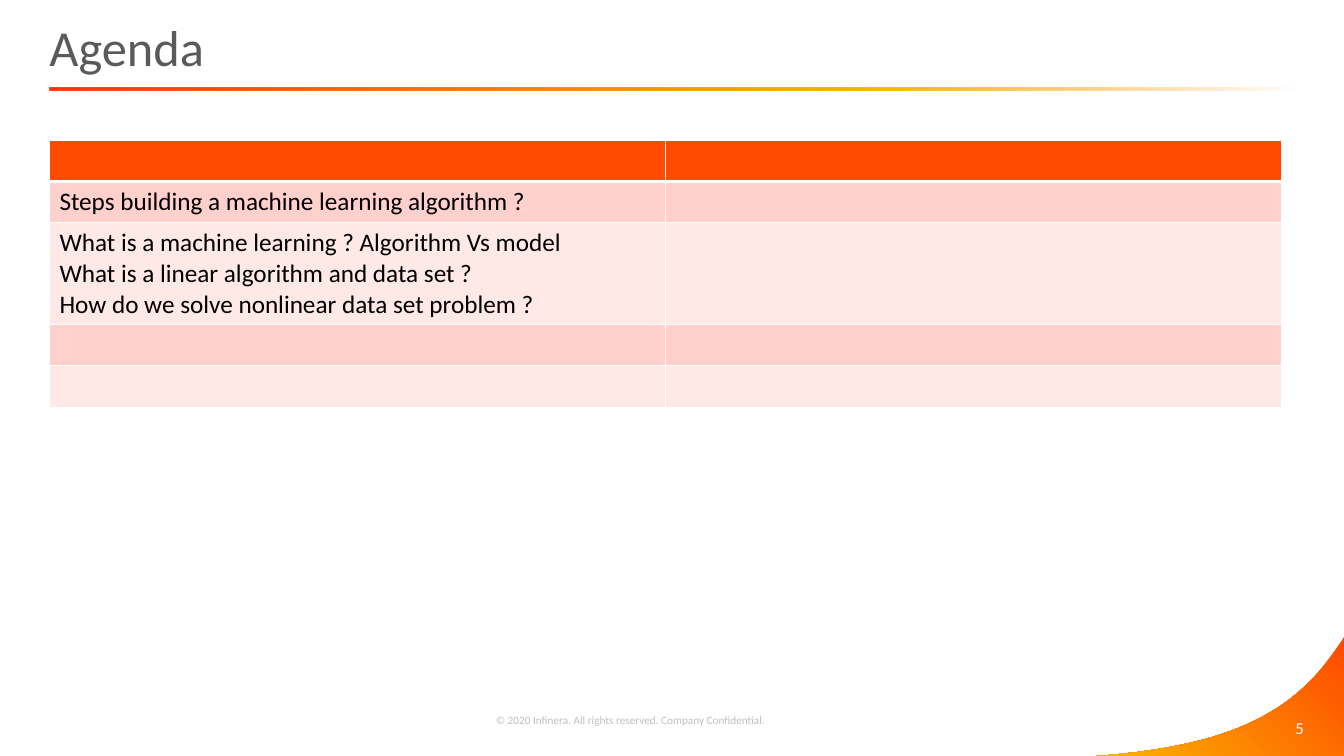
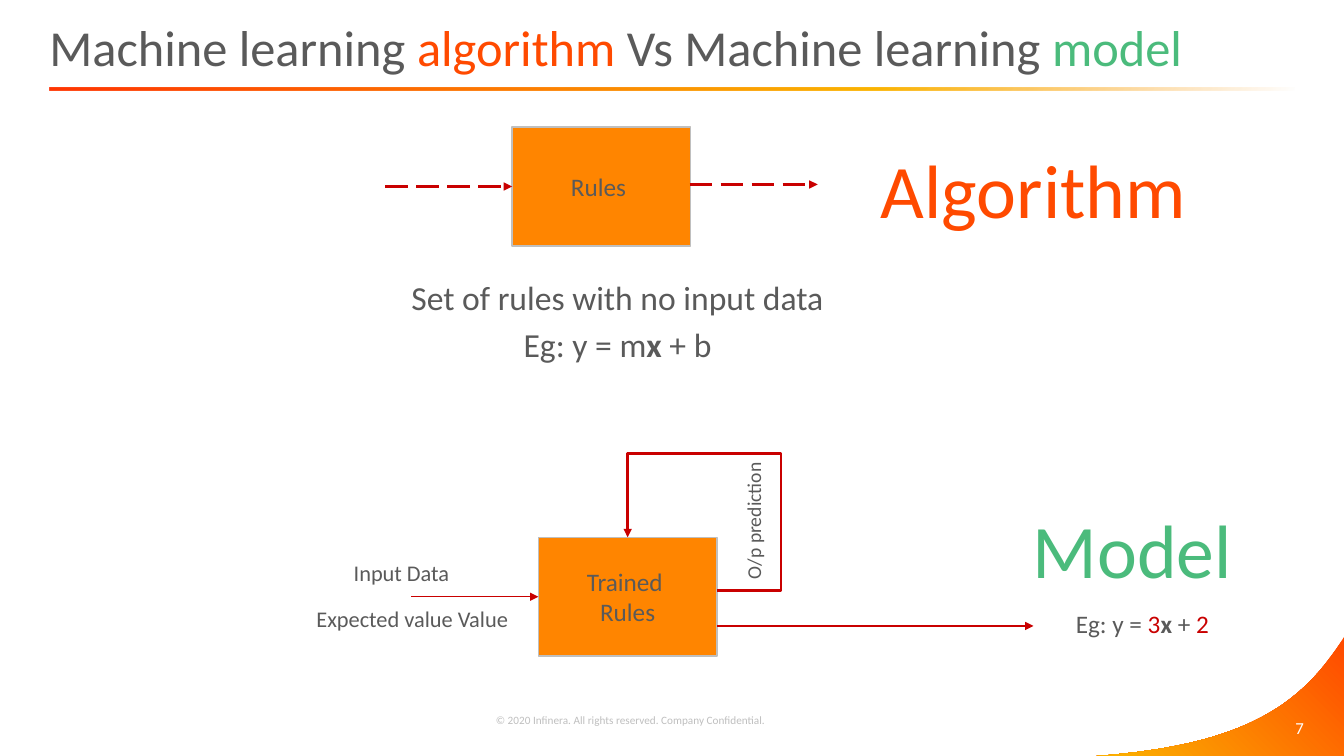
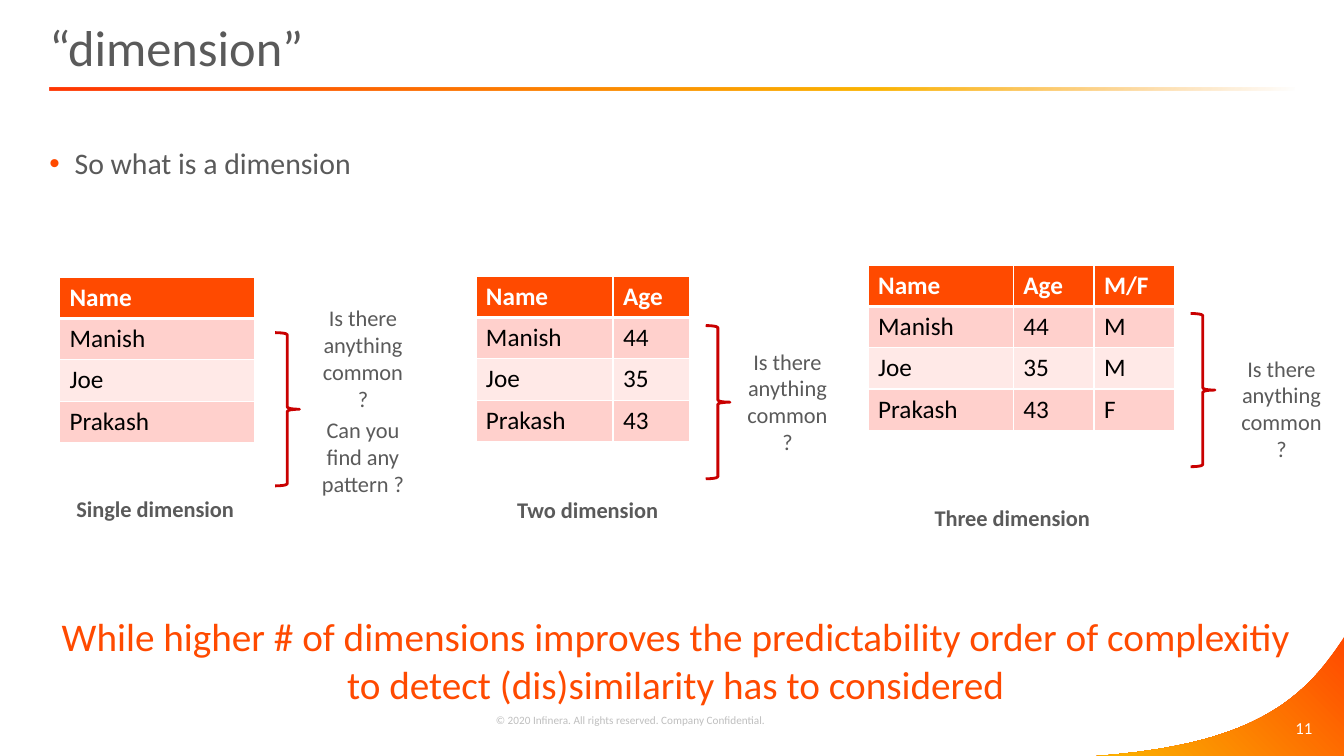
from lxml import etree
from pptx import Presentation
from pptx.dml.color import RGBColor
from pptx.enum.dml import MSO_LINE
from pptx.enum.shapes import MSO_CONNECTOR, MSO_SHAPE
from pptx.enum.text import MSO_ANCHOR, MSO_AUTO_SIZE, PP_ALIGN
from pptx.oxml import parse_xml
from pptx.oxml.ns import nsdecls, qn
from pptx.util import Inches, Pt

WIDTH, HEIGHT = 13.33, 7.5
GREY, PALE, WHITE, BLACK = "5A5A5A", "BFBFBF", "FFFFFF", "000000"
ORANGE, AMBER, GREEN, RED = "FF4A00", "FF8500", "4BBB7C", "C90000"
BANDS = ("FFE9E7", "FFD0CC")
COPYRIGHT = "© 2020 Infinera. All rights reserved. Company Confidential."


def rgb(value):
    return RGBColor.from_string(value)


def inches(*values):
    return [Inches(value) for value in values]


class Deck:
    """Holds the shared style and the slide being built."""

    def __init__(self):
        self.prs = Presentation()
        self.prs.slide_width, self.prs.slide_height = inches(WIDTH, HEIGHT)
        self.shapes = None

    def start(self, title, number):
        self.shapes = self.prs.slides.add_slide(self.prs.slide_layouts[6]).shapes
        self.corner()
        self.text((12.75, 7.07, 0.4, 0.3), [number], 12, WHITE)
        self.text((4.82, 7.03, 2.9, 0.24), [COPYRIGHT], 8, PALE, wrap=False)
        rule = self.shapes.add_shape(MSO_SHAPE.RECTANGLE, *inches(0.49, 0.87, 12.35, 0.03))
        self.gradient(rule, [(0, "FF3501", 100), (66, "FBB400", 100), (100, "FB9414", 0)], 40)
        frame = self.text((0.49, 0.01, 12.22, 0.89), [title], 36, grow=False)
        frame.margin_left = 0
        frame.vertical_anchor = MSO_ANCHOR.MIDDLE

    def corner(self):
        curve = [(WIDTH, 6.32), (12.92, 6.98), (12.37, 7.39), (10.88, HEIGHT)]
        steps = 32
        points = []
        for step in range(steps + 1):
            t = step / steps
            weights = ((1 - t) ** 3, 3 * t * (1 - t) ** 2, 3 * t * t * (1 - t), t ** 3)
            points.append(inches(*(sum(w * p[axis] for w, p in zip(weights, curve))
                                   for axis in (0, 1))))
        builder = self.shapes.build_freeform(*inches(WIDTH, HEIGHT))
        builder.add_line_segments(points, close=True)
        self.gradient(builder.convert_to_shape(), [(0, ORANGE, 100), (100, "FBB400", 100)], 135)

    def gradient(self, shape, stops, angle):
        shape.shadow.inherit = False
        shape.line.fill.background()
        marks = "".join(
            f'<a:gs pos="{place * 1000}"><a:srgbClr val="{color}">'
            f'<a:alpha val="{alpha * 1000}"/></a:srgbClr></a:gs>'
            for place, color, alpha in stops)
        fill = parse_xml(f'<a:gradFill {nsdecls("a")} rotWithShape="1"><a:gsLst>{marks}</a:gsLst>'
                         f'<a:lin ang="{angle * 60000}" scaled="0"/></a:gradFill>')
        shape._element.spPr.find(qn("a:ln")).addprevious(fill)

    def put_words(self, frame, paragraphs, size, color=GREY, bold=False, align=None, gap=0):
        for index, runs in enumerate(paragraphs):
            paragraph = frame.paragraphs[0] if index == 0 else frame.add_paragraph()
            paragraph.alignment = align
            if index and gap:
                paragraph.space_before = Pt(size * gap)
            for item in [runs] if isinstance(runs, str) else runs:
                words, special = (item, {}) if isinstance(item, str) else item
                run = paragraph.add_run()
                run.text = words
                style = {"name": "Calibri", "size": Pt(size), "bold": special.get("bold", bold)}
                for name, value in style.items():
                    setattr(run.font, name, value)
                run.font.color.rgb = rgb(special.get("color", color))

    def text(self, box, paragraphs, size, color=GREY, bold=False, align=None,
             wrap=True, grow=True, turn=0):
        holder = self.shapes.add_textbox(*inches(*box))
        holder.rotation = turn
        frame = holder.text_frame
        frame.word_wrap = wrap
        frame.auto_size = MSO_AUTO_SIZE.SHAPE_TO_FIT_TEXT if grow else MSO_AUTO_SIZE.NONE
        self.put_words(frame, paragraphs, size, color, bold, align, 0.2)
        return frame

    def bullet(self, box, words, size):
        frame = self.text(box, [words], size, grow=False)
        frame.margin_left = 0
        props = frame.paragraphs[0]._p.get_or_add_pPr()
        props.set("marL", str(Inches(0.25)))
        props.set("indent", str(Inches(-0.25)))
        color = etree.SubElement(props, qn("a:buClr"))
        etree.SubElement(color, qn("a:srgbClr"), val=ORANGE)
        etree.SubElement(props, qn("a:buFont"), typeface="Arial")
        etree.SubElement(props, qn("a:buChar"), char="•")

    def block(self, left, top, lines):
        block = self.shapes.add_shape(MSO_SHAPE.RECTANGLE, *inches(left, top, 1.77, 1.18))
        block.shadow.inherit = False
        block.fill.solid()
        block.fill.fore_color.rgb = rgb(AMBER)
        block.line.color.rgb = rgb(PALE)
        block.line.width = Pt(1)
        frame = block.text_frame
        for side in ("left", "top", "right", "bottom"):
            setattr(frame, f"margin_{side}", 0)
        frame.vertical_anchor = MSO_ANCHOR.MIDDLE
        self.put_words(frame, lines, 18, align=PP_ALIGN.CENTER)
        return block

    def brace(self, left, top):
        brace = self.shapes.add_shape(MSO_SHAPE.RIGHT_BRACE, *inches(left, top, 0.24, 1.52))
        brace.shadow.inherit = False
        brace.fill.background()
        brace.line.color.rgb = rgb(RED)
        brace.line.width = Pt(2)

    def arrow(self, start, end, width, dash=None, target=None, side=1, kind=MSO_CONNECTOR.STRAIGHT):
        arrow = self.shapes.add_connector(kind, *inches(*start, *end))
        if target is not None:
            arrow.end_connect(target, side)
        arrow.line.color.rgb = rgb(RED)
        arrow.line.width = Pt(width)
        if dash:
            arrow.line.dash_style = dash
        props = arrow._element.spPr
        etree.SubElement(props.find(qn("a:ln")), qn("a:tailEnd"), type="triangle")
        etree.SubElement(props, qn("a:effectLst"))
        return arrow

    def loop(self, start, end, target, bends):
        arrow = self.arrow(start, end, 2, target=target, side=0, kind=MSO_CONNECTOR.ELBOW)
        props = arrow._element.spPr
        frame = props.find(qn("a:xfrm"))
        for flip in ("flipH", "flipV"):
            frame.attrib.pop(flip, None)
        frame.set("rot", str(180 * 60000))
        outline = props.find(qn("a:prstGeom"))
        outline.set("prst", "bentConnector4")
        guides = outline.find(qn("a:avLst"))
        if guides is None:
            guides = etree.SubElement(outline, qn("a:avLst"))
        for number, bend in enumerate(bends, 1):
            etree.SubElement(guides, qn("a:gd"), name=f"adj{number}",
                             fmla=f"val {round(bend * 100000)}")

    def table(self, left, top, widths, rows):
        heights = [0.11 + 0.3 * max(len(words.split("\n")) for words in row) for row in rows]
        table = self.shapes.add_table(len(rows), len(widths),
                                      *inches(left, top, sum(widths), sum(heights))).table
        for column, width in zip(table.columns, widths):
            column.width = Inches(width)
        for r, row in enumerate(rows):
            table.rows[r].height = Inches(heights[r])
            for c, words in enumerate(row):
                cell = table.cell(r, c)
                edges = {"L": 1, "R": 1, "T": 3 if r == 1 else 1, "B": 1 if r else 3}
                for side, weight in edges.items():
                    edge = etree.SubElement(cell._tc.get_or_add_tcPr(), qn(f"a:ln{side}"),
                                            w=str(Pt(weight)))
                    fill = etree.SubElement(edge, qn("a:solidFill"))
                    etree.SubElement(fill, qn("a:srgbClr"), val=WHITE)
                cell.fill.solid()
                cell.fill.fore_color.rgb = rgb(BANDS[r % 2] if r else ORANGE)
                if words:
                    self.put_words(cell.text_frame, words.split("\n"), 18,
                                   BLACK if r else WHITE, bold=r == 0)


def agenda(deck):
    deck.start("Agenda", "5")
    topics = ["", "Steps building a machine learning algorithm ?",
              "What is a machine learning ? Algorithm Vs model\n"
              "What is a linear algorithm and data set ?\n"
              "How do we solve nonlinear data set problem ?", "", ""]
    deck.table(0.49, 1.39, [6.11, 6.11], [(topic, "") for topic in topics])


def algorithm_and_model(deck):
    center = PP_ALIGN.CENTER
    bold, red = {"bold": True}, {"color": RED}
    deck.start(["Machine learning ", ("algorithm", {"color": ORANGE}),
                " Vs Machine learning ", ("model", {"color": GREEN})], "7")

    rules = deck.block(5.08, 1.26, ["Rules "])
    deck.arrow((3.82, 1.85), (5.08, 1.85), 2, MSO_LINE.LONG_DASH, rules)
    deck.arrow((6.84, 1.83), (8.11, 1.83), 2, MSO_LINE.LONG_DASH)
    deck.text((2.41, 2.7, 7.43, 0.99),
              ["Set of rules with no input data", ["Eg: y = m", ("x", bold), " + b"]],
              24, align=center)
    deck.text((8.62, 1.37, 3.26, 1.01), ["Algorithm"], 54, ORANGE, align=center, wrap=False)

    trained = deck.block(5.34, 5.33, ["Trained ", "Rules"])
    deck.arrow((4.08, 5.92), (5.34, 5.92), 1, target=trained)
    deck.arrow((7.11, 6.21), (10.25, 6.21), 1)
    deck.loop((7.11, 5.86), (6.23, 5.33), trained, (-0.72, 2.57))
    deck.text((3.41, 5.5, 1.16, 0.37), ["Input Data"], 16, wrap=False)
    deck.text((3.04, 5.95, 2.13, 0.37), ["Expected value Value"], 16, wrap=False)
    deck.text((6.79, 4.99, 1.37, 0.34), ["O/p prediction"], 14, wrap=False, turn=270)
    deck.text((10.13, 4.94, 2.2, 1.01), ["Model"], 54, GREEN, align=center, wrap=False)
    deck.text((9.03, 5.99, 4.6, 0.4),
              [["Eg: y = ", ("3", red), ("x", bold), " + ", ("2", red)]], 18, align=center)


def dimension(deck):
    deck.start("“dimension”", "11")
    deck.bullet((0.49, 1.39, 12.22, 1.06), "So what is a dimension", 21.3)
    people = [("Name", "Age", "M/F"), ("Manish", "44", "M"),
              ("Joe", "35", "M"), ("Prakash", "43", "F")]
    common = "Is there anything common ?"
    groups = [
        ((0.59, 2.75), [1.94], (2.73, 3.3), (3.03, 2.97, 1.14, 2.04),
         [common, "Can you find any pattern ?"], (0.66, 4.86, 1.84, 0.37), "Single dimension"),
        ((4.72, 2.74), [1.36, 0.76], (7, 3.23), (7.24, 3.4, 1.14, 1.18),
         [common], (5.03, 4.87, 1.67, 0.37), "Two dimension"),
        ((8.61, 2.63), [1.44, 0.8, 0.8], (11.81, 3.11), (12.14, 3.47, 1.14, 1.18),
         [common], (9.17, 4.95, 1.81, 0.37), "Three dimension"),
    ]
    for corner, widths, brace, question_box, questions, caption_box, caption in groups:
        deck.table(*corner, widths, [person[:len(widths)] for person in people])
        deck.brace(*brace)
        deck.text(question_box, questions, 16, align=PP_ALIGN.CENTER)
        deck.text(caption_box, [caption], 16, bold=True, wrap=False)
    deck.text((0.36, 6.03, 12.68, 1.04),
              ["While higher # of dimensions improves the predictability order of complexitiy "
               "to detect (dis)similarity has to considered"], 28, ORANGE, align=PP_ALIGN.CENTER)


def main():
    deck = Deck()
    for build in (agenda, algorithm_and_model, dimension):
        build(deck)
    deck.prs.save("out.pptx")


if __name__ == "__main__":
    main()
